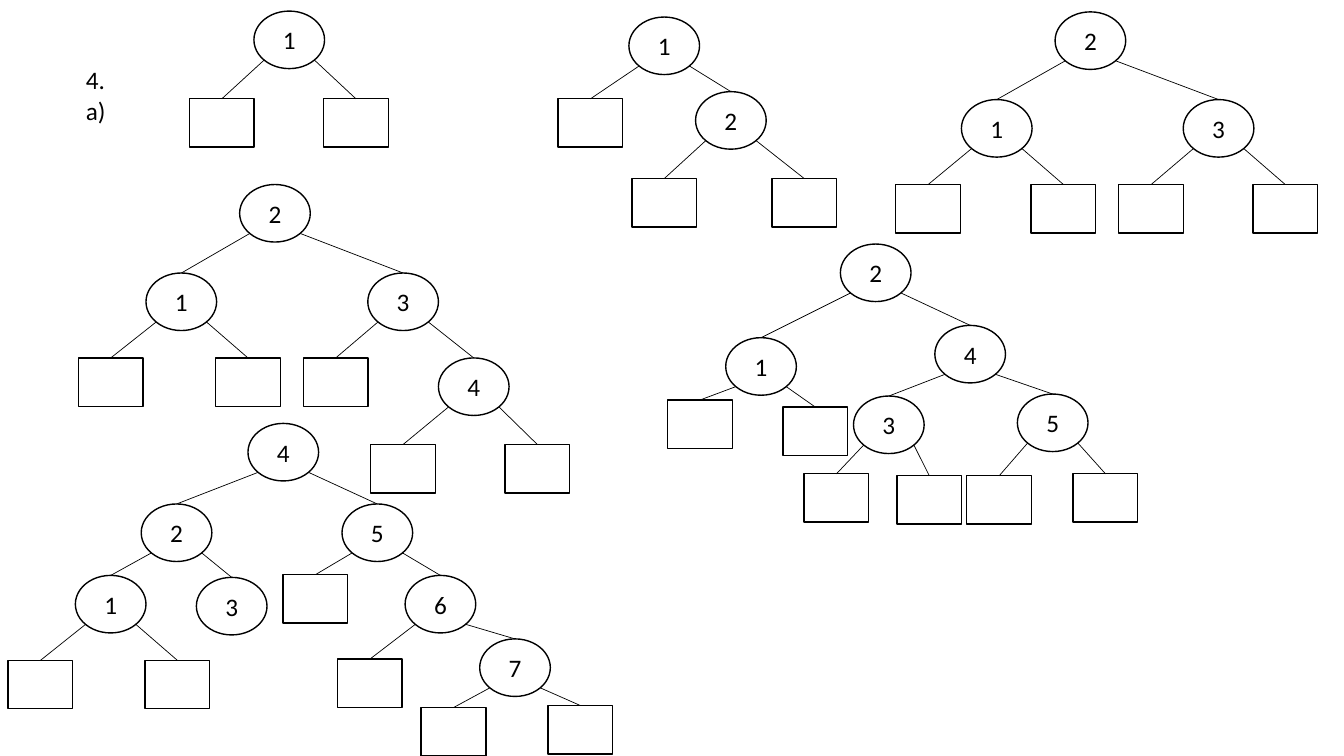
from dataclasses import dataclass

from pptx import Presentation
from pptx.dml.color import RGBColor
from pptx.enum.shapes import MSO_CONNECTOR, MSO_SHAPE
from pptx.enum.text import MSO_ANCHOR, MSO_AUTO_SIZE, PP_ALIGN
from pptx.oxml.ns import qn
from pptx.util import Cm, Pt

INK, PAPER = "000000", "FFFFFF"
NODE_W, NODE_H = 1.78, 1.45
LEAF_W, LEAF_H = 1.63, 1.22
# Branches leave a node on the lower diagonals of its ellipse.
BRANCH_DX, BRANCH_DY = 0.63, 1.23


def color(hex_code):
    """Turn a hex string into a colour."""
    return RGBColor.from_string(hex_code)


@dataclass
class Node:
    """A tree node: centre x, top y, key and children; no key marks an empty leaf."""
    x: float
    y: float
    key: str = ""
    children: tuple = ()


def inner(key, x, y, *children):
    """Describe a keyed node."""
    return Node(x, y, key, children)


def leaves(y, *centres):
    """Describe empty leaves standing on one level."""
    return [Node(x, y) for x in centres]


class TreeSlide:
    """Holds the style and the slide the trees are drawn on."""

    def __init__(self, slide, font="Calibri", size=18):
        self.slide, self.font, self.size = slide, font, size

    def add_text(self, frame, text, align):
        """Add one run in the slide's style."""
        paragraph = frame.paragraphs[0]
        paragraph.alignment = align
        run = paragraph.add_run()
        run.text = text
        run.font.name, run.font.size = self.font, Pt(self.size)
        run.font.color.rgb = color(INK)

    def heading(self, text, x, y, width, height):
        """Place the exercise number in the title placeholder."""
        title = self.slide.shapes.title
        title.left, title.top = Cm(x), Cm(y)
        title.width, title.height = Cm(width), Cm(height)
        frame = title.text_frame
        frame.word_wrap = True
        frame.auto_size = MSO_AUTO_SIZE.SHAPE_TO_FIT_TEXT
        frame.vertical_anchor = MSO_ANCHOR.TOP
        self.add_text(frame, text, PP_ALIGN.LEFT)

    def box(self, node):
        """Draw an ellipse for a keyed node or a rectangle for an empty leaf."""
        if node.key:
            kind, width, height = MSO_SHAPE.OVAL, NODE_W, NODE_H
        else:
            kind, width, height = MSO_SHAPE.RECTANGLE, LEAF_W, LEAF_H
        shape = self.slide.shapes.add_shape(
            kind, Cm(node.x - width / 2), Cm(node.y), Cm(width), Cm(height))
        shape.shadow.inherit = False
        shape.fill.solid()
        shape.fill.fore_color.rgb = color(PAPER)
        shape.line.color.rgb = color(INK)
        shape.line.width = Pt(1)
        if node.key:
            shape.text_frame.vertical_anchor = MSO_ANCHOR.MIDDLE
            self.add_text(shape.text_frame, node.key, PP_ALIGN.CENTER)
        return shape

    def branch(self, parent, child, child_shape):
        """Draw the line from a parent to the top of its child."""
        side = -1 if child.x < parent.x else 1
        line = self.slide.shapes.add_connector(
            MSO_CONNECTOR.STRAIGHT,
            Cm(parent.x + side * BRANCH_DX), Cm(parent.y + BRANCH_DY),
            Cm(child.x), Cm(child.y))
        line.end_connect(child_shape, 0)
        line.line.color.rgb = color(INK)
        line.line.width = Pt(0.5)
        properties = line._element.spPr
        properties.append(properties.makeelement(qn("a:effectLst"), {}))

    def tree(self, node):
        """Draw a node and everything below it."""
        shape = self.box(node)
        for child in node.children:
            self.branch(node, child, self.tree(child))
        return shape


insertion_steps = [
    inner("1", 7.29, 0.28, *leaves(2.49, 5.59, 8.97)),
    inner("2", 27.48, 0.3,
          inner("1", 25.12, 2.51, *leaves(4.65, 23.39, 26.8)),
          inner("3", 30.71, 2.51, *leaves(4.65, 29.01, 32.39))),
    inner("1", 16.74, 0.43,
          Node(14.88, 2.49),
          inner("2", 18.42, 2.31, *leaves(4.5, 16.74, 20.27))),
    inner("2", 6.93, 4.65,
          inner("1", 4.57, 6.88, *leaves(9.02, 2.79, 6.25)),
          inner("3", 10.16, 6.88,
                Node(8.46, 9.02),
                inner("4", 11.94, 9.02, *leaves(11.2, 10.16, 13.54)))),
    inner("2", 22.07, 6.15,
          inner("1", 19.18, 8.51, Node(17.64, 10.08), Node(20.55, 10.26)),
          inner("4", 24.45, 8.2,
                inner("3", 22.4, 9.98, Node(21.08, 11.94), Node(23.42, 11.99)),
                inner("5", 26.53, 9.93, Node(25.18, 11.99), Node(27.86, 11.94)))),
    inner("4", 7.14, 10.67,
          inner("2", 4.45, 12.7,
                inner("1", 2.79, 14.5, *leaves(16.64, 1.02, 4.47)),
                inner("3", 5.84, 14.55)),
          inner("5", 9.51, 12.7,
                Node(7.95, 14.48),
                inner("6", 11.1, 14.5,
                      Node(9.32, 16.61),
                      inner("7", 12.98, 16.1,
                            Node(11.43, 17.83), Node(14.63, 17.78))))),
]

presentation = Presentation()
presentation.slide_width, presentation.slide_height = Cm(33.87), Cm(19.05)
title_only = presentation.slide_layouts[5]
exercise = TreeSlide(presentation.slides.add_slide(title_only))
exercise.heading("4. a)", 1.91, 1.5, 1.37, 1.8)
for step in insertion_steps:
    exercise.tree(step)
presentation.save("out.pptx")
